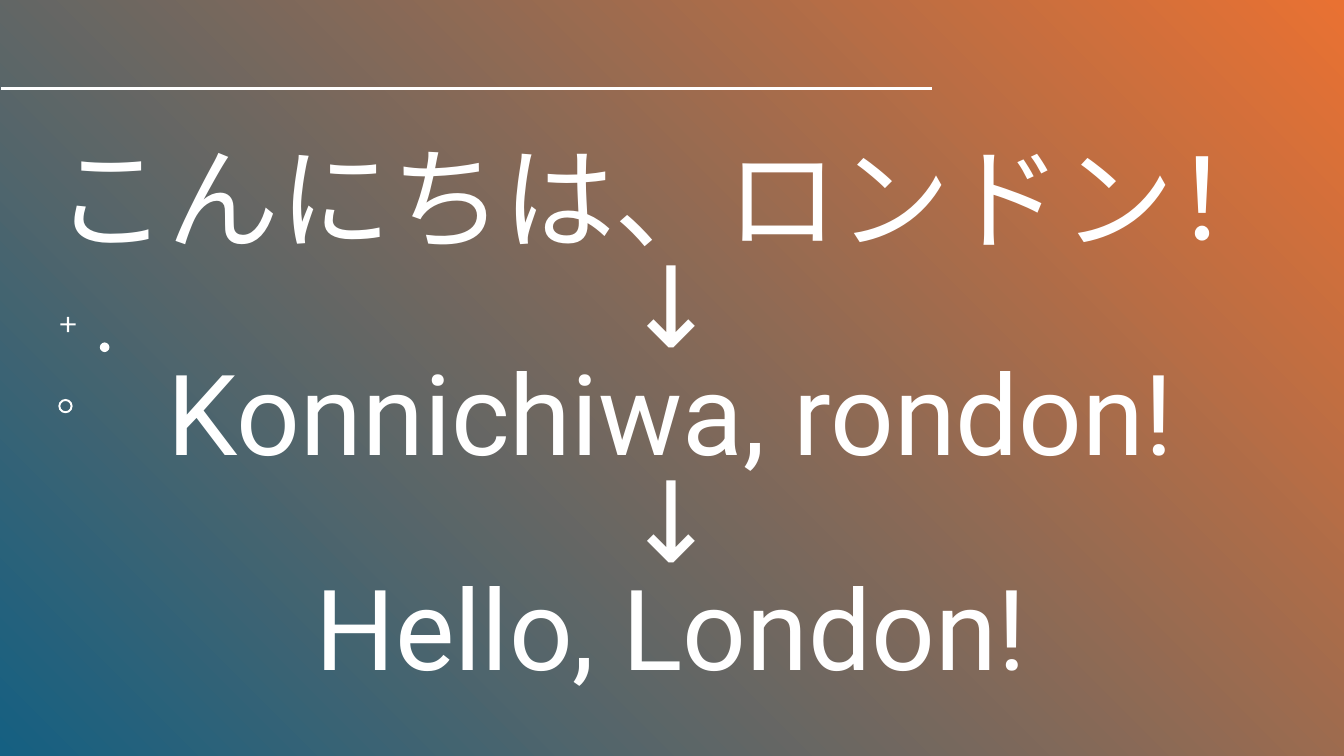
from lxml import etree
from pptx import Presentation
from pptx.dml.color import RGBColor
from pptx.enum.shapes import MSO_CONNECTOR as Connector, MSO_SHAPE as Shape
from pptx.enum.text import MSO_ANCHOR as Anchor, MSO_AUTO_SIZE as AutoSize, PP_ALIGN as Align
from pptx.oxml.ns import qn
from pptx.util import Pt

WIDTH, HEIGHT = 960, 540
WHITE = "FFFFFF"
LINES = ["こんにちは、ロンドン！", "↓", "Konnichiwa, rondon!", "↓", "Hello, London!"]


def color(hex_code):
    return RGBColor.from_string(hex_code)


def add_plain_shape(kind, left, top, width, height):
    """Add a preset shape without outline or shadow."""
    shape = slide.shapes.add_shape(kind, Pt(left), Pt(top), Pt(width), Pt(height))
    shape.shadow.inherit = False
    shape.line.fill.background()
    return shape


deck = Presentation()
deck.slide_width, deck.slide_height = Pt(WIDTH), Pt(HEIGHT)
slide = deck.slides.add_slide(deck.slide_layouts.get_by_name("Title Only"))

# Gradient backdrop, blue at bottom left to orange at top right
backdrop = add_plain_shape(Shape.RECTANGLE, 0, 0, WIDTH, HEIGHT)
backdrop.fill.gradient()
backdrop.fill.gradient_angle = 45
for stop, (position, hex_code) in zip(backdrop.fill.gradient_stops, [(0, "156082"), (1, "E97132")]):
    stop.position = position
    stop.color.rgb = color(hex_code)

# Rule above the title
rule = slide.shapes.add_connector(Connector.STRAIGHT, Pt(0.7), Pt(63.3), Pt(666), Pt(63.3))
rule.line.color.rgb = color(WHITE)
rule.line.width = Pt(2)
etree.SubElement(rule.element.spPr, qn("a:effectLst"))

# Small marks at the left: kind, left, top, size, adjustment
marks = [
    (Shape.CROSS, 43.1, 226.3, 10.9, 0.43),
    (Shape.OVAL, 71.3, 244.6, 6.9, None),
    (Shape.DONUT, 41.7, 285, 10.2, 0.14),
]
for kind, left, top, size, adjustment in marks:
    mark = add_plain_shape(kind, left, top, size, size)
    mark.fill.solid()
    mark.fill.fore_color.rgb = color(WHITE)
    if adjustment is not None:
        mark.adjustments[0] = adjustment

# Title, brought in front of the backdrop
title = slide.shapes.title
title.element.getparent().append(title.element)
title.left, title.top, title.width, title.height = Pt(13.7), Pt(95.8), Pt(931.7), Pt(412.6)
frame = title.text_frame
frame.text = "\n".join(LINES)
frame.word_wrap = True
frame.auto_size = AutoSize.NONE
frame.vertical_anchor = Anchor.MIDDLE
for para in frame.paragraphs:
    para.alignment = Align.CENTER
    para.line_spacing = 0.8
    for span in para.runs:
        span.font.name = "Roboto"
        span.font.size = Pt(80)
        span.font.color.rgb = color(WHITE)

deck.save("out.pptx")
